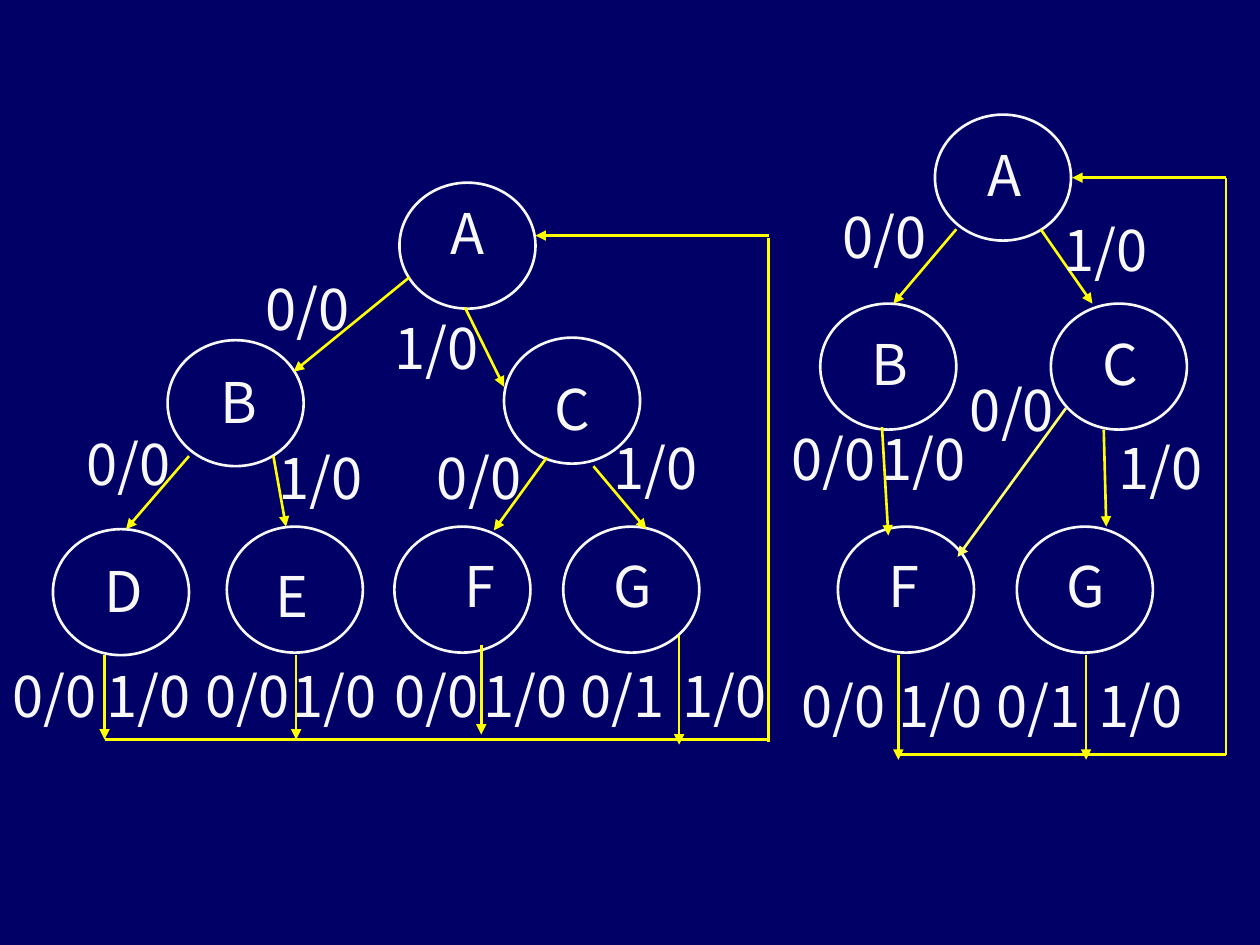
from typing import NamedTuple

from lxml import etree
from pptx import Presentation
from pptx.dml.color import RGBColor
from pptx.enum.shapes import MSO_CONNECTOR, MSO_SHAPE
from pptx.enum.text import MSO_AUTO_SIZE
from pptx.oxml.ns import qn
from pptx.util import Inches, Pt

STRAIGHT = MSO_CONNECTOR.STRAIGHT
OVAL = MSO_SHAPE.OVAL
FIT_SHAPE = MSO_AUTO_SIZE.SHAPE_TO_FIT_TEXT

NAVY = RGBColor(0x00, 0x00, 0x66)
WHITE = RGBColor(0xF8, 0xF8, 0xF8)
YELLOW = RGBColor(0xFF, 0xFF, 0x00)
PALE_YELLOW = RGBColor(0xFF, 0xFF, 0x66)

FONT = "Noto Sans CJK SC"
FONT_SIZE = Pt(32)
LINE_WIDTH = Pt(1.5)
STATE_WIDTH, STATE_HEIGHT = 1.08, 1.0
LETTER_WIDTH = 0.47
TEXT_HEIGHT = 0.64


class State(NamedTuple):
    name: str
    left: float
    top: float
    letter_left: float
    letter_top: float


class Label(NamedTuple):
    text: str
    left: float
    top: float
    width: float = 0.9


class Line(NamedTuple):
    x1: float
    y1: float
    x2: float
    y2: float
    arrow: bool = True
    color: RGBColor = YELLOW


FULL_TREE_STATES = [
    State("A", 3.17, 1.45, 3.48, 1.53),
    State("B", 1.33, 2.7, 1.65, 2.87),
    State("C", 4.0, 2.68, 4.3, 2.92),
    State("D", 0.42, 4.2, 0.73, 4.37),
    State("E", 1.8, 4.18, 2.09, 4.41),
    State("F", 3.13, 4.18, 3.59, 4.33),
    State("G", 4.47, 4.18, 4.77, 4.33),
]
REDUCED_TREE_STATES = [
    State("A", 7.42, 0.91, 7.74, 1.07),
    State("B", 6.51, 2.41, 6.82, 2.57),
    State("C", 8.34, 2.41, 8.65, 2.57),
    State("F", 6.65, 4.18, 6.95, 4.33),
    State("G", 8.07, 4.18, 8.37, 4.33),
]

FULL_TREE_LINES = [
    Line(3.25, 2.2, 2.33, 2.95),
    Line(3.69, 2.44, 4.0, 3.07),
    Line(1.5, 3.62, 1.0, 4.2),
    Line(2.17, 3.62, 2.27, 4.18),
    Line(4.34, 3.63, 3.92, 4.21),
    Line(4.71, 3.7, 5.13, 4.2),
    Line(0.83, 5.2, 0.83, 5.87),
    Line(2.35, 5.2, 2.35, 5.87),
    Line(3.82, 5.12, 3.82, 5.83),
    Line(5.39, 5.04, 5.39, 5.91),
    Line(0.83, 5.87, 6.1, 5.87, arrow=False),
    Line(6.1, 5.89, 6.1, 1.89, arrow=False),
    Line(6.1, 1.87, 4.25, 1.87),
]
REDUCED_TREE_LINES = [
    Line(7.59, 1.82, 7.09, 2.41),
    Line(8.26, 1.82, 8.67, 2.41),
    Line(7.0, 3.39, 7.05, 4.25),
    Line(8.46, 3.24, 7.6, 4.42, color=PALE_YELLOW),
    Line(8.76, 3.41, 8.78, 4.18),
    Line(7.13, 5.2, 7.13, 6.03),
    Line(8.62, 5.2, 8.62, 6.03),
    Line(7.13, 5.99, 9.73, 5.99, arrow=False),
    Line(9.73, 5.99, 9.73, 1.41, arrow=False),
    Line(9.73, 1.41, 8.51, 1.41),
]

FULL_TREE_LABELS = [
    Label("0/0", 2.01, 2.13),
    Label("1/0", 3.03, 2.44),
    Label("0/0", 0.59, 3.36),
    Label("1/0", 2.11, 3.47),
    Label("0/0", 3.37, 3.47),
    Label("1/0", 4.77, 3.39),
    Label("0/0", 0, 5.2),
    Label("1/0", 0.75, 5.2, 1.08),
    Label("0/0", 1.53, 5.2, 0.94),
    Label("1/0", 2.22, 5.2),
    Label("0/0", 3.03, 5.2),
    Label("1/0", 3.74, 5.2),
    Label("0/1", 4.51, 5.2),
    Label("1/0", 5.32, 5.2),
]
REDUCED_TREE_LABELS = [
    Label("0/0", 6.59, 1.56),
    Label("1/0", 8.34, 1.66, 1.17),
    Label("0/0", 6.18, 3.32, 1.34),
    Label("1/0", 6.9, 3.32, 1.0),
    Label("0/0", 7.6, 2.93),
    Label("1/0", 8.78, 3.39),
    Label("0/0", 6.26, 5.28),
    Label("1/0", 7.03, 5.28),
    Label("0/1", 7.81, 5.28),
    Label("1/0", 8.62, 5.28),
]


def draw_label(slide, label: Label) -> None:
    box = slide.shapes.add_textbox(Inches(label.left), Inches(label.top),
                                   Inches(label.width), Inches(TEXT_HEIGHT))
    frame = box.text_frame
    frame.word_wrap = True
    frame.auto_size = FIT_SHAPE
    paragraph = frame.paragraphs[0]
    paragraph.text = label.text
    paragraph.font.name = FONT
    paragraph.font.size = FONT_SIZE
    paragraph.font.color.rgb = WHITE


def draw_state(slide, state: State) -> None:
    oval = slide.shapes.add_shape(OVAL, Inches(state.left), Inches(state.top),
                                  Inches(STATE_WIDTH), Inches(STATE_HEIGHT))
    oval.shadow.inherit = False
    oval.fill.background()
    oval.line.color.rgb = WHITE
    oval.line.width = LINE_WIDTH
    draw_label(slide, Label(state.name, state.letter_left, state.letter_top,
                            LETTER_WIDTH))


def draw_line(slide, line: Line) -> None:
    connector = slide.shapes.add_connector(STRAIGHT, Inches(line.x1), Inches(line.y1),
                                           Inches(line.x2), Inches(line.y2))
    connector.line.color.rgb = line.color
    connector.line.width = LINE_WIDTH
    properties = connector.line._get_or_add_ln()
    if line.arrow:
        etree.SubElement(properties, qn("a:tailEnd"), type="triangle")
    etree.SubElement(properties.getparent(), qn("a:effectLst"))


def main() -> None:
    presentation = Presentation()
    presentation.slide_width = Inches(10)
    presentation.slide_height = Inches(7.5)
    slide = presentation.slides.add_slide(presentation.slide_layouts[6])
    background = slide.background.fill
    background.solid()
    background.fore_color.rgb = NAVY

    for state in FULL_TREE_STATES + REDUCED_TREE_STATES:
        draw_state(slide, state)
    for line in FULL_TREE_LINES + REDUCED_TREE_LINES:
        draw_line(slide, line)
    for label in FULL_TREE_LABELS + REDUCED_TREE_LABELS:
        draw_label(slide, label)

    presentation.save("out.pptx")


if __name__ == "__main__":
    main()
